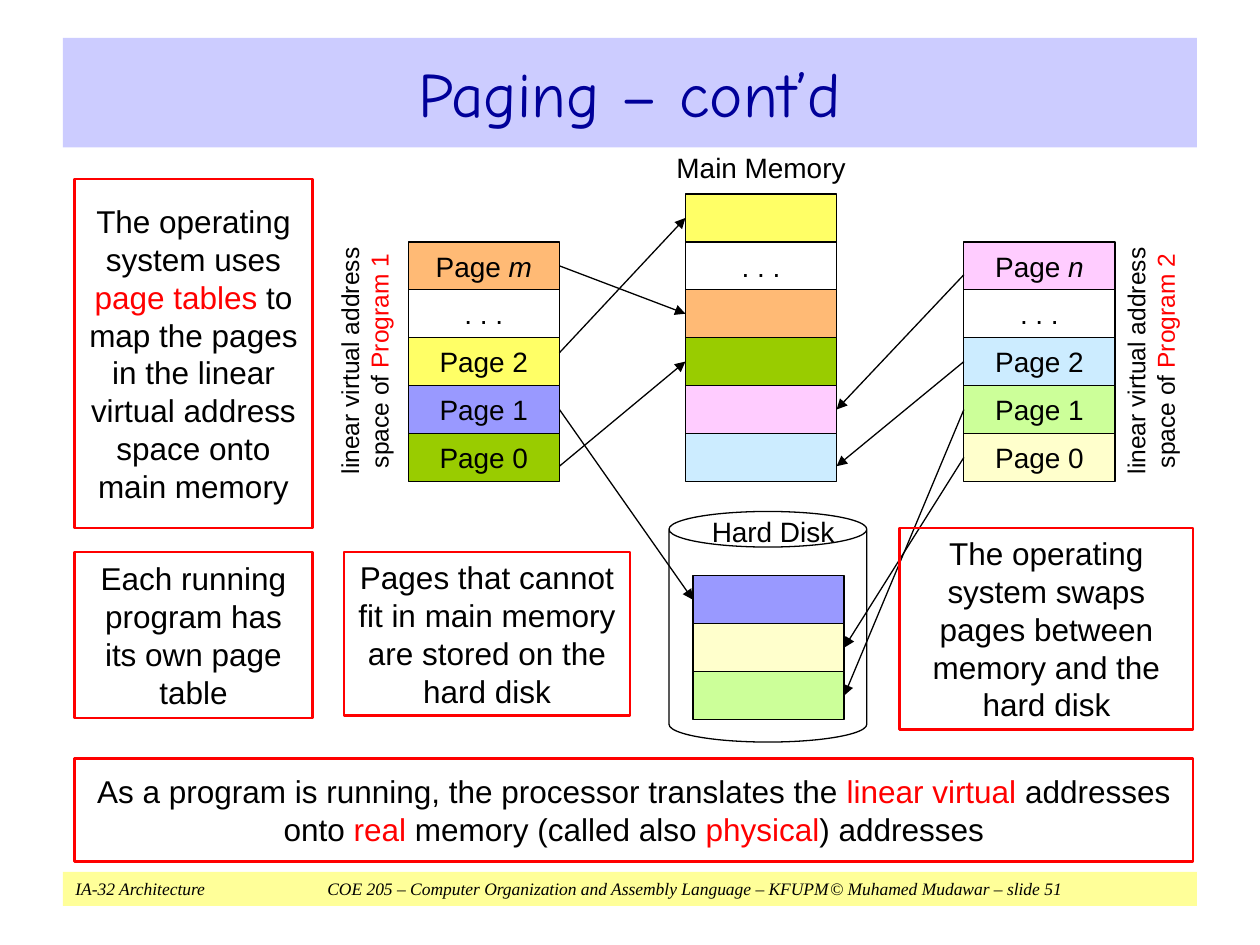
from dataclasses import dataclass

from lxml.etree import SubElement
from pptx import Presentation
from pptx.dml.color import RGBColor
from pptx.enum.shapes import MSO_CONNECTOR, MSO_SHAPE
from pptx.enum.text import MSO_ANCHOR, PP_ALIGN
from pptx.oxml.ns import qn
from pptx.util import Inches, Pt


@dataclass(frozen=True)
class Theme:
    black: str = "000000"
    red: str = "FF0000"
    title_text: str = "000099"
    title_fill: str = "CCCCFF"
    footer_fill: str = "FFFF99"
    orange: str = "FFBA75"
    yellow: str = "FFFF66"
    violet: str = "9999FF"
    green: str = "99CC00"
    pink: str = "FFCCFF"
    sky: str = "CCECFF"
    lime: str = "CCFF99"
    cream: str = "FFFFCC"
    font: str = "Arial"
    title_font: str = "Comic Neue"
    footer_font: str = "Times New Roman"
    title_size: int = 36
    note_size: int = 18
    label_size: int = 16
    side_size: int = 14
    footer_size: int = 10
    thin: float = 0.75
    thick: float = 1.5


THEME = Theme()
ROW = 0.38
CELL_WIDTH = 1.2
LEFT, RIGHT = 1, 3
RED = {"color": THEME.red}
ITALIC = {"italic": True}


def write(shape, *spans, size=THEME.label_size, font=THEME.font, color=THEME.black,
          italic=False, align=PP_ALIGN.CENTER, inset=0.1, inset_y=0.05, tabs=()):
    """Fill a shape with one paragraph; a span is a string or (string, format changes)."""
    frame = shape.text_frame
    frame.word_wrap = True
    frame.vertical_anchor = MSO_ANCHOR.MIDDLE
    frame.margin_left = frame.margin_right = Inches(inset)
    frame.margin_top = frame.margin_bottom = Inches(inset_y)
    para = frame.paragraphs[0]
    para.alignment = align
    if tabs:
        tab_list = SubElement(para._p.get_or_add_pPr(), qn("a:tabLst"))
        for position in tabs:
            SubElement(tab_list, qn("a:tab"), pos=str(Inches(position)), algn="l")
    for span in spans:
        text, changes = (span, {}) if isinstance(span, str) else span
        run = para.add_run()
        run.text = text
        run.font.name = font
        run.font.size = Pt(size)
        run.font.italic = changes.get("italic", italic)
        run.font.color.rgb = RGBColor.from_string(changes.get("color", color))


def add_box(page, left, top, width, height, fill=None, line=None,
            weight=THEME.thin, kind=MSO_SHAPE.RECTANGLE):
    box = page.shapes.add_shape(kind, Inches(left), Inches(top), Inches(width), Inches(height))
    box.shadow.inherit = False
    if fill:
        box.fill.solid()
        box.fill.fore_color.rgb = RGBColor.from_string(fill)
    else:
        box.fill.background()
    if line:
        box.line.color.rgb = RGBColor.from_string(line)
        box.line.width = Pt(weight)
    else:
        box.line.fill.background()
    return box


def add_stack(page, left, top, rows):
    """Stack cells downwards, each row being (fill, *spans)."""
    cells = []
    for index, (fill, *spans) in enumerate(rows):
        cell = add_box(page, left, top + index * ROW, CELL_WIDTH, ROW, fill, THEME.black)
        if spans:
            write(cell, *spans)
        cells.append(cell)
    return cells


def add_note(page, left, top, width, height, *spans, inset=0.1):
    note = add_box(page, left, top, width, height, line=THEME.red, weight=THEME.thick)
    write(note, *spans, size=THEME.note_size, inset=inset)


def add_label(page, left, top, width, height, *spans, rotation=0, **text_format):
    label = page.shapes.add_textbox(Inches(left), Inches(top), Inches(width), Inches(height))
    label.rotation = rotation
    write(label, *spans, **text_format)


def add_arrow(page, source, target, side, source_shift=0, target_shift=0):
    """Point from a side of source to the facing side of target; shifted ends stay free."""
    def side_middle(cell, cell_side, shift):
        x = cell.left + (cell.width if cell_side == RIGHT else 0)
        return x, cell.top + cell.height // 2 + Inches(shift)

    facing = LEFT if side == RIGHT else RIGHT
    arrow = page.shapes.add_connector(
        MSO_CONNECTOR.STRAIGHT,
        *side_middle(source, side, source_shift),
        *side_middle(target, facing, target_shift),
    )
    if not source_shift:
        arrow.begin_connect(source, side)
    if not target_shift:
        arrow.end_connect(target, facing)
    arrow.line.color.rgb = RGBColor.from_string(THEME.black)
    arrow.line.width = Pt(THEME.thin)
    SubElement(arrow.line._get_or_add_ln(), qn("a:tailEnd"), type="triangle")
    SubElement(arrow._element.spPr, qn("a:effectLst"))


def add_title_and_footer(page):
    footer = add_box(page, 0.5, 6.92, 9, 0.27, THEME.footer_fill)
    write(footer, "IA-32 Architecture\tCOE 205 – Computer Organization and Assembly Language"
          " – KFUPM\t© Muhamed Mudawar – slide 51", size=THEME.footer_size,
          font=THEME.footer_font, italic=True, align=PP_ALIGN.LEFT, tabs=(2, 5.99))
    title = add_box(page, 0.5, 0.3, 9, 0.87, THEME.title_fill)
    write(title, "Paging – cont’d", size=THEME.title_size, font=THEME.title_font,
          color=THEME.title_text)


def add_paging_diagram(page):
    t = THEME
    page_m, _, first_2, first_1, first_0 = add_stack(page, 3.24, 1.92, [
        (t.orange, "Page ", ("m", ITALIC)), (None, ". . ."), (t.yellow, "Page 2"),
        (t.violet, "Page 1"), (t.green, "Page 0")])
    page_n, _, second_2, second_1, second_0 = add_stack(page, 7.65, 1.92, [
        (t.pink, "Page ", ("n", ITALIC)), (None, ". . ."), (t.sky, "Page 2"),
        (t.lime, "Page 1"), (t.cream, "Page 0")])
    yellow, _, orange, green, pink, sky = add_stack(page, 5.44, 1.54, [
        (t.yellow,), (None, ". . ."), (t.orange,), (t.green,), (t.pink,), (t.sky,)])

    disk = add_box(page, 5.31, 4.06, 1.57, 1.83, line=t.black, kind=MSO_SHAPE.CAN)
    disk.adjustments[0] = 0.18
    violet, cream, lime = add_stack(page, 5.5, 4.57, [(t.violet,), (t.cream,), (t.lime,)])

    add_label(page, 5, 1.17, 2.08, 0.31, "Main Memory", inset_y=0)
    add_label(page, 5.44, 4.06, 1.39, 0.31, "Hard Disk", inset_y=0)
    for left, program in ((1.82, "Program 1"), (8.06, "Program 2")):
        add_label(page, left, 2.58, 2.14, 0.57, "linear virtual address space of ",
                  (program, RED), rotation=270, size=t.side_size, inset=0.08)

    add_arrow(page, page_m, orange, RIGHT)
    add_arrow(page, first_2, yellow, RIGHT, source_shift=-0.07)
    add_arrow(page, first_1, violet, RIGHT)
    add_arrow(page, first_0, green, RIGHT, source_shift=0.07)
    add_arrow(page, page_n, pink, LEFT, source_shift=0.07)
    add_arrow(page, second_2, sky, LEFT, target_shift=0.07)
    add_arrow(page, second_1, lime, LEFT)
    add_arrow(page, second_0, cream, LEFT)


def add_notes_around(page):
    add_note(page, 0.59, 1.42, 1.89, 2.77, "The operating system uses ", ("page tables", RED),
             " to map the pages in the linear virtual address space onto main memory")
    add_note(page, 0.59, 4.38, 1.89, 1.32, "Each running program has its own page table")
    add_note(page, 2.73, 4.38, 2.27, 1.3,
             "Pages that cannot fit in main memory are stored on the hard disk")
    add_note(page, 7.14, 4.19, 2.33, 1.6,
             "The operating system swaps pages between memory and the hard disk", inset=0.04)
    add_note(page, 0.59, 6.02, 8.88, 0.82,
             "As a program is running, the processor translates the ", ("linear virtual", RED),
             " addresses onto ", ("real", RED), " memory (called also ", ("physical", RED),
             ") addresses")


def main():
    deck = Presentation()
    deck.slide_width, deck.slide_height = Inches(10), Inches(7.5)
    page = deck.slides.add_slide(deck.slide_layouts[6])
    add_title_and_footer(page)
    add_paging_diagram(page)
    add_notes_around(page)
    deck.save("out.pptx")


if __name__ == "__main__":
    main()
